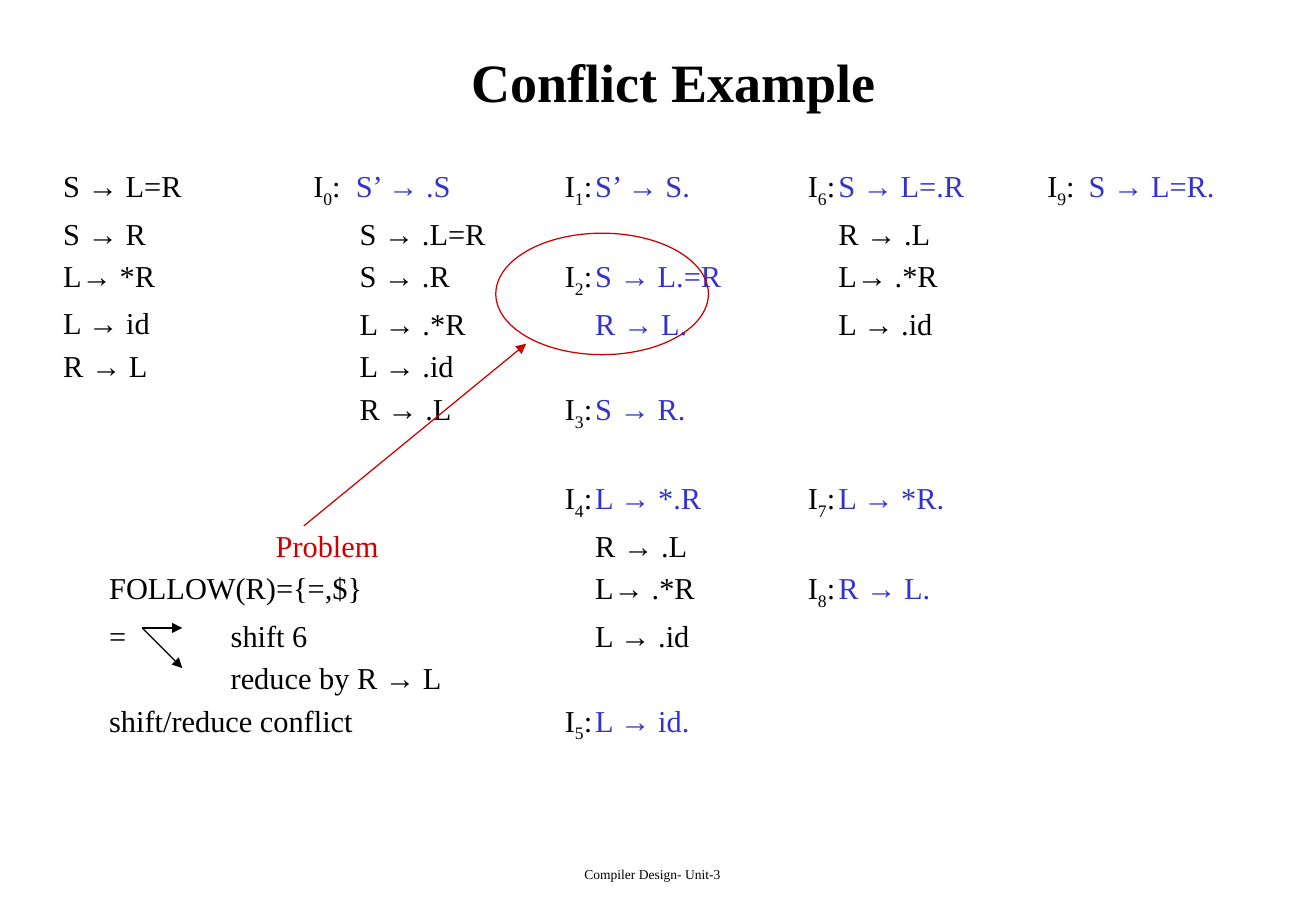
from lxml.etree import SubElement
from pptx import Presentation
from pptx.dml.color import RGBColor
from pptx.enum.shapes import MSO_CONNECTOR, MSO_SHAPE
from pptx.enum.text import MSO_ANCHOR, MSO_AUTO_SIZE, PP_ALIGN
from pptx.oxml.ns import qn
from pptx.util import Inches, Pt

COLORS = {"text": "000000", "kernel": "3333CC", "problem": "CC0000"}
FONT = "Times New Roman"

TITLE = "Conflict Example"
FOOTER = "Compiler Design- Unit-3"
GRAMMAR = ["S → L=R", "S → R", "L→ *R", "L → id", "R → L"]
COLUMNS = {
    "note": 0.38, "action": 1.38, "problem": 1.75,
    "state a": 2.06, "start a": 2.41, "item a": 2.44,
    "state b": 4.13, "item b": 4.38,
    "state c": 6.13, "item c": 6.38,
    "state d": 8.1, "item d": 8.44,
}
STATE_ROWS = [
    [("state a", 0), ("start a", "S’ → .S", "kernel"),
     ("state b", 1), ("item b", "S’ → S.", "kernel"),
     ("state c", 6), ("item c", "S → L=.R", "kernel"),
     ("state d", 9), ("item d", "S → L=R.", "kernel")],
    [("item a", "S → .L=R"), ("item c", "R → .L")],
    [("item a", "S → .R"), ("state b", 2), ("item b", "S → L.=R", "kernel"),
     ("item c", "L→ .*R")],
    [("item a", "L → .*R"), ("item b", "R → L.", "kernel"), ("item c", "L → .id")],
    [("item a", "L → .id")],
    [("item a", "R → .L"), ("state b", 3), ("item b", "S → R.", "kernel")],
    [("state b", 4), ("item b", "L → *.R", "kernel"),
     ("state c", 7), ("item c", "L → *R.", "kernel")],
    [("problem", "Problem", "problem"), ("item b", "R → .L")],
    [("note", "FOLLOW(R)={=,$}"), ("item b", "L→ .*R"),
     ("state c", 8), ("item c", "R → L.", "kernel")],
    [("note", "="), ("action", "shift 6"), ("item b", "L → .id")],
    [("action", "reduce by R → L")],
    [("note", "shift/reduce conflict"),
     ("state b", 5), ("item b", "L → id.", "kernel")],
]
ROW_GAP = 3.6
GRAMMAR_GAPS = {0: 0, 1: 6.4, 3: 6.4}
STATE_GAPS = {0: 0, 6: 28.5}
ARROWS = [
    ((2.5, 4.33), (4.33, 2.83), "problem"),
    ((1.17, 5.17), (1.5, 5.17), "text"),
    ((1.17, 5.17), (1.5, 5.5), "text"),
]
CONFLICT_RING = (4.08, 1.92, 1.75, 1)


def color(name):
    return RGBColor.from_string(COLORS[name])


def add_run(paragraph, text, size=18, ink="text", bold=False):
    run = paragraph.add_run()
    run.text = text
    for attribute, value in {"name": FONT, "size": Pt(size), "bold": bold}.items():
        setattr(run.font, attribute, value)
    run.font.color.rgb = color(ink)
    return run


def place(shape, left, top, width, height, anchor=MSO_ANCHOR.TOP):
    box = {"left": left, "top": top, "width": width, "height": height}
    for attribute, value in box.items():
        setattr(shape, attribute, Inches(value))
    frame = shape.text_frame
    layout = {"word_wrap": True, "auto_size": MSO_AUTO_SIZE.NONE, "vertical_anchor": anchor}
    for attribute, value in layout.items():
        setattr(frame, attribute, value)
    return frame


def add_heading(frame, text, size, bold=False):
    paragraph = frame.paragraphs[0]
    paragraph.alignment = PP_ALIGN.CENTER
    add_run(paragraph, text, size, bold=bold)


def add_rule(paragraph, rule):
    properties = paragraph._p.get_or_add_pPr()
    properties.set("marL", "0")
    properties.set("indent", "0")
    SubElement(properties, qn("a:buNone"))
    add_run(paragraph, rule)


def add_state_row(paragraph, cells):
    stops = SubElement(paragraph._p.get_or_add_pPr(), qn("a:tabLst"))
    for column, content, *ink in cells:
        SubElement(stops, qn("a:tab"), pos=str(int(Inches(COLUMNS[column]))), algn="l")
        if isinstance(content, int):
            add_run(paragraph, "\tI")
            number = add_run(paragraph, str(content))
            number._r.get_or_add_rPr().set("baseline", "-25000")
            add_run(paragraph, ":")
        else:
            add_run(paragraph, "\t" + content, 18, *ink)


def add_rows(frame, rows, gaps, write_row):
    for index, row in enumerate(rows):
        paragraph = frame.add_paragraph() if index else frame.paragraphs[0]
        write_row(paragraph, row)
        paragraph.space_before = Pt(gaps.get(index, ROW_GAP))


def add_arrow(slide, start, end, ink):
    ends = [Inches(value) for value in start + end]
    arrow = slide.shapes.add_connector(MSO_CONNECTOR.STRAIGHT, *ends)
    arrow.line.color.rgb = color(ink)
    arrow.line.width = Pt(0.75)
    SubElement(arrow.line._get_or_add_ln(), qn("a:tailEnd"), type="triangle")
    SubElement(arrow._element.spPr, qn("a:effectLst"))


def main():
    deck = Presentation()
    deck.slide_width, deck.slide_height = Inches(10.83), Inches(7.5)
    slide = deck.slides.add_slide(deck.slide_layouts[1])
    title, grammar = slide.placeholders

    footer = slide.shapes.add_textbox(0, 0, 0, 0)
    add_heading(place(footer, 3.34, 7.08, 4.06, 0.25), FOOTER, 8)
    add_heading(place(title, 0.42, 0.17, 10.25, 1, MSO_ANCHOR.MIDDLE), TITLE, 32, bold=True)

    add_rows(place(grammar, 0.42, 1.33, 1.6, 2), GRAMMAR, GRAMMAR_GAPS, add_rule)
    states = slide.shapes.add_textbox(0, 0, 0, 0)
    add_rows(place(states, 0.42, 1.33, 10.25, 5.58), STATE_ROWS, STATE_GAPS, add_state_row)

    ring = slide.shapes.add_shape(MSO_SHAPE.OVAL, *map(Inches, CONFLICT_RING))
    ring.shadow.inherit = False
    ring.fill.background()
    ring.line.color.rgb = color("problem")
    ring.line.width = Pt(0.75)

    for start, end, ink in ARROWS:
        add_arrow(slide, start, end, ink)

    deck.save("out.pptx")


if __name__ == "__main__":
    main()
